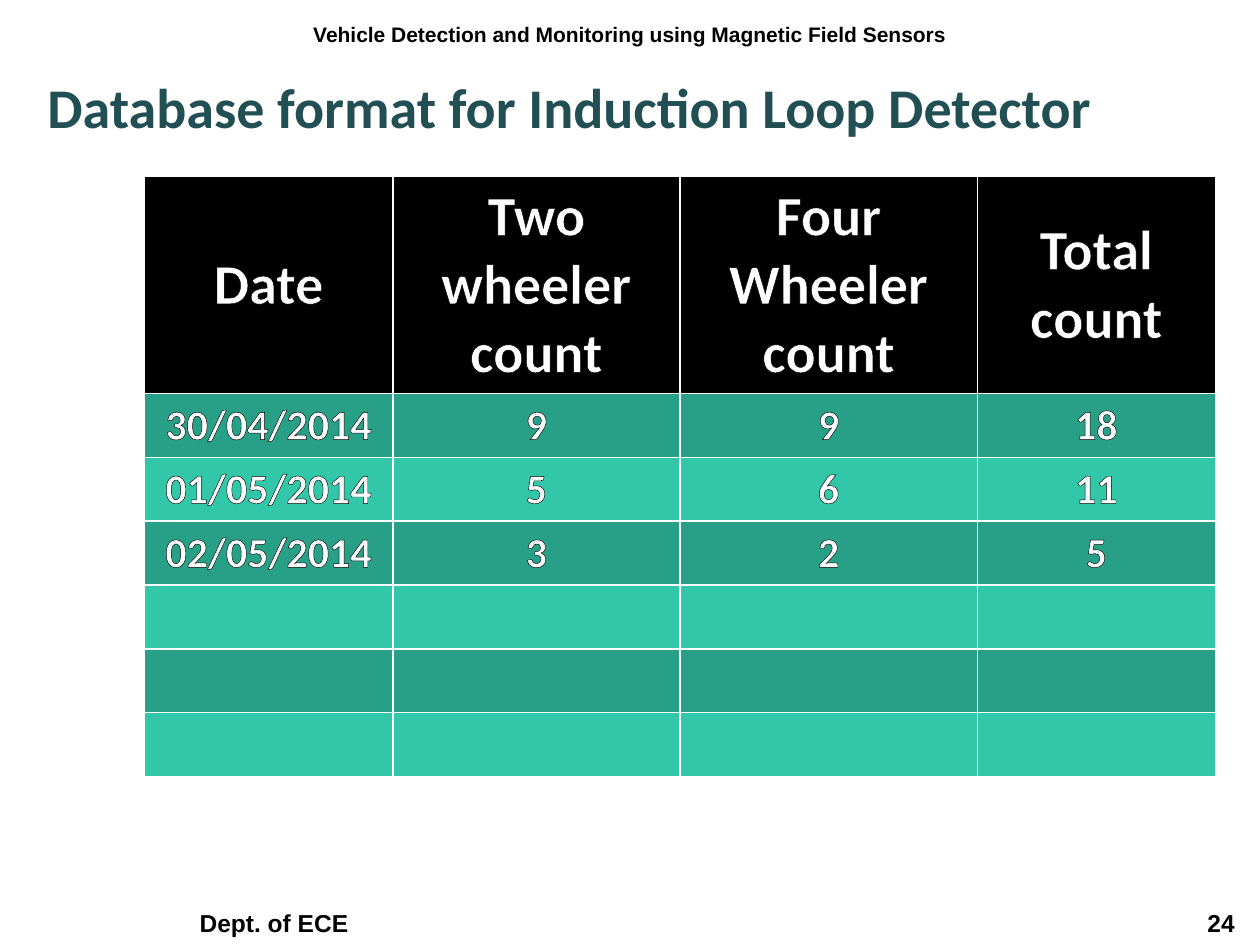
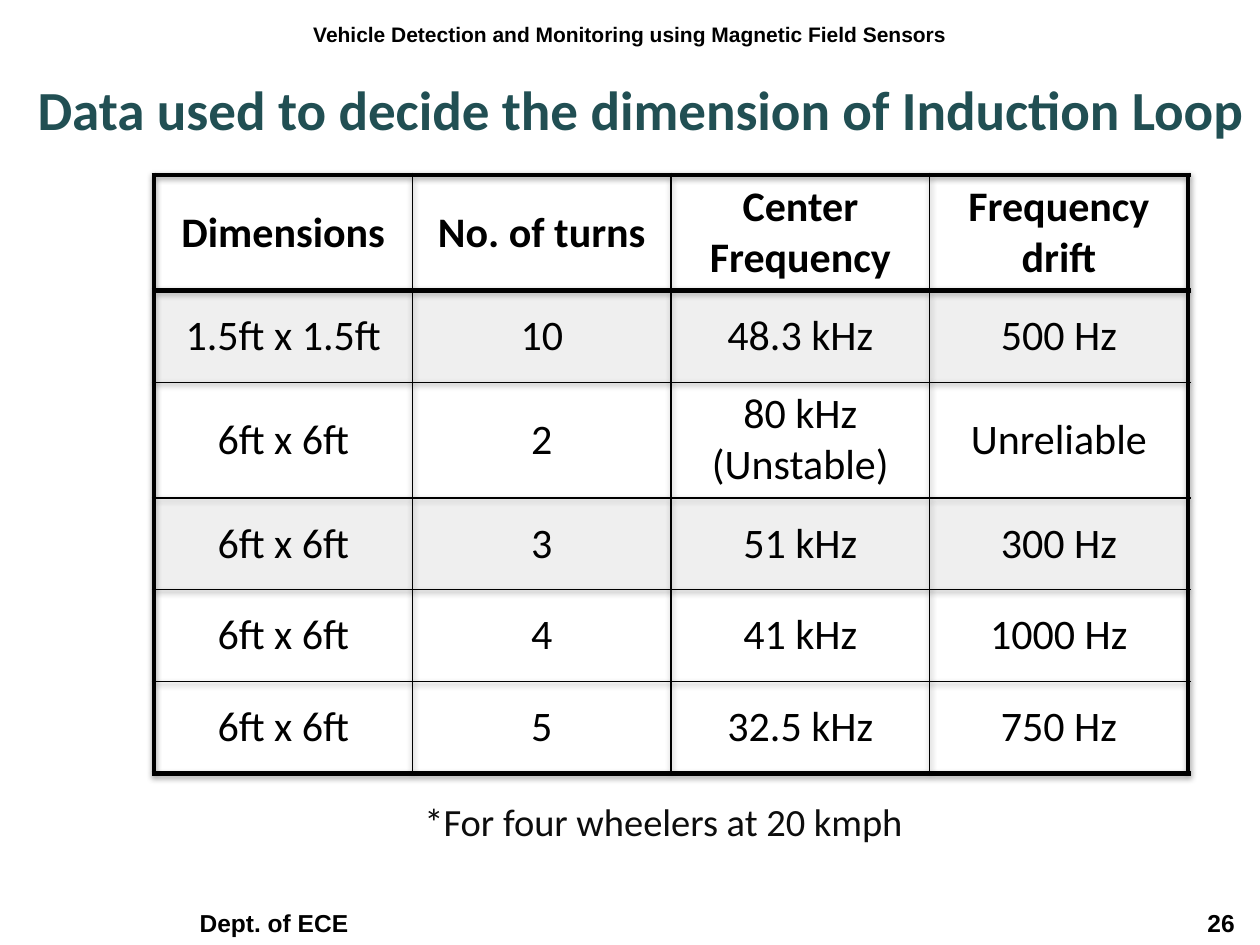
from lxml.etree import SubElement
from pptx import Presentation
from pptx.dml.color import RGBColor
from pptx.enum.text import MSO_ANCHOR, PP_ALIGN
from pptx.oxml import parse_xml
from pptx.oxml.ns import nsdecls, qn
from pptx.util import Pt

COLORS = {
    "black": "000000",
    "white": "FFFFFF",
    "title": "214F53",
    "note": "0D0D0D",
    "band_dark": "289F87",
    "band_light": "32C7A9",
}
SLIDE_W, SLIDE_H = 720, 540
PLAIN_TABLE = "{2D5ABB26-0587-4C30-8999-92F81FD0307C}"
HEADER = "Vehicle Detection and Monitoring using Magnetic Field Sensors"
DEPARTMENT = "Dept. of ECE"

COUNTS = [
    ("Date", "Two wheeler count", "Four Wheeler count", "Total count"),
    ("30/04/2014", "9", "9", "18"),
    ("01/05/2014", "5", "6", "11"),
    ("02/05/2014", "3", "2", "5"),
] + [("",) * 4] * 3

LOOPS = [
    ("Dimensions", "No. of turns", "Center Frequency", "Frequency drift"),
    ("1.5ft x 1.5ft", "10", "48.3 kHz", "500 Hz"),
    ("6ft x 6ft", "2", "80 kHz (Unstable)", "Unreliable"),
    ("6ft x 6ft", "3", "51 kHz", "300 Hz"),
    ("6ft x 6ft", "4", "41 kHz", "1000 Hz"),
    ("6ft x 6ft", "5", "32.5 kHz", "750 Hz"),
]


def rgb(color):
    return RGBColor.from_string(COLORS[color])


def format_runs(p, size, color, font="Calibri", bold=False):
    for r in p.runs:
        r.font.name = font
        r.font.size = Pt(size)
        r.font.bold = bold
        r.font.color.rgb = rgb(color)


def add_text(s, box, text, size, color, font="Calibri", bold=False,
             align=PP_ALIGN.LEFT, anchor=MSO_ANCHOR.TOP):
    tf = s.shapes.add_textbox(*map(Pt, box)).text_frame
    tf.word_wrap = True
    tf.vertical_anchor = anchor
    p = tf.paragraphs[0]
    p.text = text
    p.alignment = align
    format_runs(p, size, color, font, bold)
    return p


def add_frame(s, number):
    """Running header, and footer with department and slide number."""
    add_text(s, (0, 9, SLIDE_W, 29), HEADER, 12, "black", "Arial", True,
             PP_ALIGN.CENTER)
    p = add_text(s, (0, 510, SLIDE_W, 29), f"\t{DEPARTMENT}\t{number}", 14,
                 "black", "Arial", True, anchor=MSO_ANCHOR.BOTTOM)
    tabs = SubElement(p._p.get_or_add_pPr(), qn("a:tabLst"))
    for pos, align in ((107, "l"), (698.5, "r")):
        SubElement(tabs, qn("a:tab"), pos=str(Pt(pos)), algn=align)


def add_title(s, box, text, size):
    add_text(s, box, text, size, "title", bold=True)


def add_grid(s, left, top, widths, heights, rows):
    """Unstyled table with centred text."""
    box = (left, top, sum(widths), sum(heights))
    table = s.shapes.add_table(len(rows), len(widths), *map(Pt, box)).table
    table.first_row = table.horz_banding = False
    table._tbl.tblPr.find(qn("a:tableStyleId")).text = PLAIN_TABLE
    for column, width in zip(table.columns, widths):
        column.width = Pt(width)
    for row, height, texts in zip(table.rows, heights, rows):
        row.height = Pt(height)
        for cell, text in zip(row.cells, texts):
            cell.text_frame.text = text
            cell.text_frame.paragraphs[0].alignment = PP_ALIGN.CENTER
            cell.vertical_anchor = MSO_ANCHOR.MIDDLE
    return table


def fill_cell(cell, color):
    cell.fill.solid()
    cell.fill.fore_color.rgb = rgb(color)


def set_borders(cell, color, left=1, right=1, top=1, bottom=1):
    tcPr = cell._tc.get_or_add_tcPr()
    for i, (side, width) in enumerate(zip("LRTB", (left, right, top, bottom))):
        tcPr.insert(i, parse_xml(
            f'<a:ln{side} {nsdecls("a")} w="{Pt(width)}"><a:solidFill>'
            f'<a:srgbClr val="{COLORS[color]}"/></a:solidFill></a:ln{side}>'))


def outline_runs(p, color):
    for r in p.runs:
        r.font._element.insert(0, parse_xml(
            f'<a:ln {nsdecls("a")} w="{Pt(0.75)}"><a:solidFill>'
            f'<a:srgbClr val="{COLORS[color]}"/></a:solidFill></a:ln>'))


def add_count_table(s, left, top):
    table = add_grid(s, left, top, (142, 164, 170, 136),
                     [124.4] + [36.5] * 6, COUNTS)
    for i, row in enumerate(table.rows):
        band = "band_dark" if i % 2 else "band_light"
        for cell in row.cells:
            fill_cell(cell, band if i else "black")
            set_borders(cell, "white")
            p = cell.text_frame.paragraphs[0]
            format_runs(p, 24 if i else 32, "white", bold=True)
            outline_runs(p, "black")


def add_loop_table(s, left, top):
    table = add_grid(s, left, top, [147.75] * 4,
                     (66, 52.5, 66, 52.5, 52.5, 52.5), LOOPS)
    table._tbl.tblPr.insert(0, parse_xml(
        f'<a:effectLst {nsdecls("a")}><a:outerShdw blurRad="{Pt(3)}" '
        f'dist="{Pt(1.5)}" dir="5400000" rotWithShape="0">'
        f'<a:srgbClr val="{COLORS["black"]}"><a:alpha val="38000"/>'
        '</a:srgbClr></a:outerShdw></a:effectLst>'))
    last_row, last_col = len(LOOPS) - 1, len(LOOPS[0]) - 1
    for i, row in enumerate(table.rows):
        for j, cell in enumerate(row.cells):
            if i in (1, 3):
                fill_cell(cell, "white")
                clr = cell._tc.tcPr.find(f'{qn("a:solidFill")}/{qn("a:srgbClr")}')
                SubElement(clr, qn("a:alpha"), val="20000")
            else:
                cell.fill.background()
            set_borders(cell, "black",
                        left=3 if j == 0 else 1,
                        right=3 if j == last_col else 1,
                        top=3 if i <= 1 else 1,
                        bottom=3 if i in (0, last_row) else 1)
            format_runs(cell.text_frame.paragraphs[0], 24, "black", bold=i == 0)


def build_database_slide(s):
    add_frame(s, 24)
    add_title(s, (20, 38, 646, 49),
              "Database format for Induction Loop Detector", 32)
    add_count_table(s, 82.5, 100.5)


def build_dimension_slide(s):
    add_frame(s, 26)
    add_title(s, (14.4, 39.5, 705.6, 45),
              "Data used to decide the dimension of Induction Loop", 31.5)
    add_loop_table(s, 88, 100)
    add_text(s, (235.5, 452.5, 335, 31), "*For four wheelers at 20 kmph",
             22, "note")


def main():
    prs = Presentation()
    prs.slide_width, prs.slide_height = Pt(SLIDE_W), Pt(SLIDE_H)
    for build in (build_database_slide, build_dimension_slide):
        build(prs.slides.add_slide(prs.slide_layouts[6]))
    prs.save("out.pptx")


if __name__ == "__main__":
    main()
